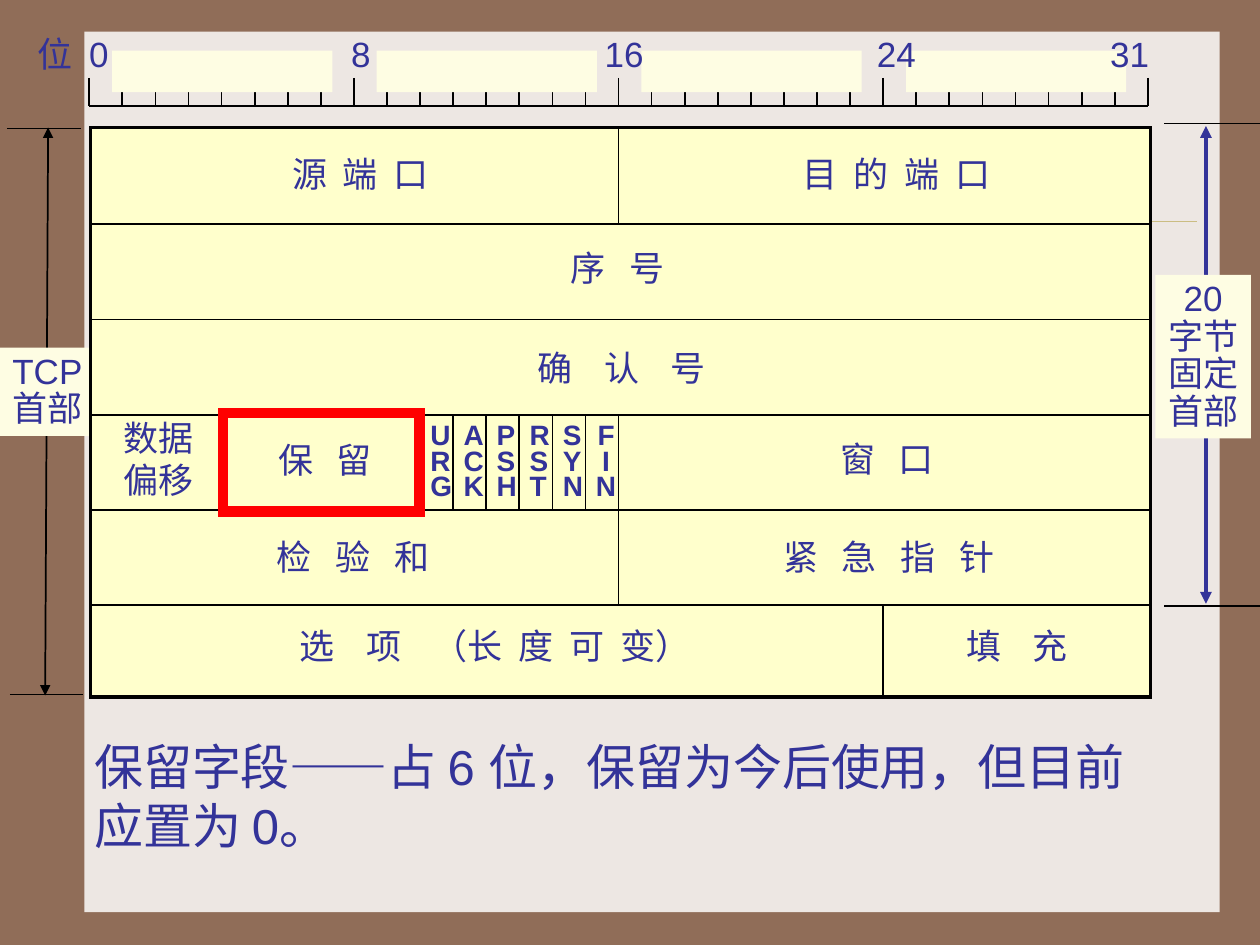
import pptx
import pptx.util
import pptx.dml.color
import pptx.enum.shapes
import pptx.enum.text
import pptx.oxml.ns
from lxml import etree

Cm, Pt = pptx.util.Cm, pptx.util.Pt
LEFT, CENTER = pptx.enum.text.PP_ALIGN.LEFT, pptx.enum.text.PP_ALIGN.CENTER

BROWN, PANEL, HAIRLINE = "906D58", "EDE7E3", "CBBD83"
CREAM, YELLOW, BLUE, BLACK, RED = "FEFDE3", "FFFFCC", "333399", "000000", "FF0000"

# Character gaps in points
NARROW, MEDIUM, WIDE = 9, 13.5, 18

# (text, gap), left, top, width
FIELDS = [
    ([("源端", NARROW), ("口", 0)], 5.64, 2.95, 3.7),
    ([("目的端", NARROW), ("口", 0)], 15.93, 2.95, 4.7),
    ([("序", MEDIUM), ("号", 0)], 11.25, 4.85, 3.84),
    ([("确认", WIDE), ("号", 0)], 10.59, 6.86, 5.11),
    ([("保", MEDIUM), ("留", 0)], 5.36, 8.71, 2.8),
    ([("窗", MEDIUM), ("口", 0)], 16.69, 8.69, 2.8),
    ([("检验", MEDIUM), ("和", 0)], 5.33, 10.67, 4),
    ([("紧急指", MEDIUM), ("针", 0)], 15.54, 10.67, 5.2),
    ([("选项", WIDE), ("（", 0), ("长度可", NARROW), ("变）", 0)], 5.79, 12.47, 8.89),
    ([("填", WIDE), ("充", 0)], 19.23, 12.47, 3.48),
]
FLAGS = [("URG", LEFT), ("ACK", LEFT), ("PSH", LEFT),
         ("RST", LEFT), ("SYN", LEFT), ("FIN", CENTER)]
RULER_TEXT = "位\t0\t8\t16\t24\t31"
RULER_TABS = [1.04, 6.32, 11.43, 16.92, 21.62]
NOTE = "保留字段——占 6 位，保留为今后使用，但目前应置为 0。"

# Header geometry in cm
HEADER_LEFT, HEADER_TOP, HEADER_WIDTH, HEADER_HEIGHT = 1.83, 2.57, 21.36, 11.48
ROW_HEIGHT, ROWS = 1.92, 6
BITS, RULER_LEFT, RULER_WIDTH, RULER_BASE = 32, 1.8, 21.34, 2.13
BIT_WIDTH = RULER_WIDTH / BITS
FLAG_BIT = 10
# bit, first row, last row
DIVIDERS = [(16, 0, 0), (4, 3, 3), (16, 3, 4), (24, 5, 5)]
DIVIDERS += [(FLAG_BIT + index, 3, 3) for index in range(len(FLAGS))]

presentation = pptx.Presentation()
presentation.slide_width, presentation.slide_height = Cm(25.4), Cm(19.05)
slide = presentation.slides.add_slide(presentation.slide_layouts[6])


def color(value):
    return pptx.dml.color.RGBColor.from_string(value)


def bit_x(bit):
    return RULER_LEFT + bit * BIT_WIDTH


def row_y(row):
    """Top edge of a header row; the last edge is the bottom of the header."""
    if row == 0:
        return HEADER_TOP
    if row == ROWS:
        return HEADER_TOP + HEADER_HEIGHT
    return 4.52 + (row - 1) * ROW_HEIGHT


def add_line(x1, y1, x2, y2, line_color=BLACK, width=1, arrows=False):
    connector = slide.shapes.add_connector(
        pptx.enum.shapes.MSO_CONNECTOR.STRAIGHT, Cm(x1), Cm(y1), Cm(x2), Cm(y2))
    connector.line.color.rgb = color(line_color)
    connector.line.width = Pt(width)
    if arrows:
        line = connector.line._get_or_add_ln()
        for end in ("a:headEnd", "a:tailEnd"):
            etree.SubElement(line, pptx.oxml.ns.qn(end), type="triangle")
    etree.SubElement(connector._element.spPr, pptx.oxml.ns.qn("a:effectLst"))


def add_rectangle(left, top, width, height, fill=None, line=None, line_width=1):
    shape = slide.shapes.add_shape(
        pptx.enum.shapes.MSO_SHAPE.RECTANGLE, Cm(left), Cm(top), Cm(width), Cm(height))
    shape.shadow.inherit = False
    if fill:
        shape.fill.solid()
        shape.fill.fore_color.rgb = color(fill)
    else:
        shape.fill.background()
    if line:
        shape.line.color.rgb = color(line)
        shape.line.width = Pt(line_width)
        etree.SubElement(shape.line._get_or_add_ln(),
                         pptx.oxml.ns.qn("a:miter"), lim="800000")
    else:
        shape.line.fill.background()
    return shape


def write(shape, paragraphs, size=20, bold=False, align=LEFT, spacing=None, wrap=False):
    """Fill a shape; each paragraph is a list of (text, character gap)."""
    frame = shape.text_frame
    frame.word_wrap = wrap
    frame.auto_size = pptx.enum.text.MSO_AUTO_SIZE.SHAPE_TO_FIT_TEXT
    frame.vertical_anchor = pptx.enum.text.MSO_ANCHOR.TOP
    for index, segments in enumerate(paragraphs):
        paragraph = frame.add_paragraph() if index else frame.paragraphs[0]
        paragraph.alignment = align
        paragraph.line_spacing = spacing
        for text, gap in segments:
            run = paragraph.add_run()
            run.text = text
            run.font.name = "Arial"
            run.font.size = Pt(size)
            run.font.bold = bold
            run.font.color.rgb = color(BLUE)
            if gap:
                run._r.get_or_add_rPr().set("spc", str(int(gap * 100)))


def add_text(paragraphs, left, top, width, height, **style):
    box = slide.shapes.add_textbox(Cm(left), Cm(top), Cm(width), Cm(height))
    write(box, paragraphs, **style)
    return box


def plain(lines):
    return [[(line, 0)] for line in lines]


# Backdrop
slide.background.fill.solid()
slide.background.fill.fore_color.rgb = color(BROWN)
add_rectangle(1.7, 0.64, 22.89, 17.75, PANEL)
add_line(2.82, 4.45, 24.13, 4.45, HAIRLINE, 0.25)

# Extent arrows with their labels
add_line(0.97, 2.57, 0.91, 14.02, arrows=True)
write(add_rectangle(0, 7.01, 1.93, 1.78, CREAM), plain(["TCP", "首部"]), spacing=0.9)
add_line(24.31, 2.54, 24.31, 12.17, BLUE, 2.25, arrows=True)
write(add_rectangle(23.29, 5.54, 1.93, 3.3, CREAM),
      plain(["20", "字节", "固定", "首部"]), align=CENTER, spacing=0.9)
for x1, x2, y in [(23.47, 25.4, 2.49), (23.47, 25.4, 12.22),
                  (0.15, 1.63, 2.59), (0.2, 1.68, 14)]:
    add_line(x1, y, x2, y)

# Header grid
add_rectangle(HEADER_LEFT, HEADER_TOP, HEADER_WIDTH, HEADER_HEIGHT, YELLOW, BLACK, 2)
for row in range(1, ROWS):
    add_line(HEADER_LEFT, row_y(row), HEADER_LEFT + HEADER_WIDTH, row_y(row))
for bit, first, last in DIVIDERS:
    add_line(bit_x(bit), row_y(first), bit_x(bit), row_y(last + 1))

# Field names
for segments, left, top, width in FIELDS:
    add_text([segments], left, top, width, 1.1, wrap=True)
add_text(plain(["数据", "偏移"]), 2.24, 8.28, 1.93, 1.93)
for index, (flag, align) in enumerate(FLAGS):
    add_text(plain(flag), bit_x(FLAG_BIT + index) - 0.04, 8.46, 0.91, 1.78,
             size=16, bold=True, align=align, spacing=0.75)

# Bit ruler
add_line(RULER_LEFT, RULER_BASE, RULER_LEFT + RULER_WIDTH, RULER_BASE)
for bit in range(BITS + 1):
    add_line(bit_x(bit), 1.3 if bit % 8 else 1.57, bit_x(bit), RULER_BASE)
for bit in range(0, BITS, 8):
    add_rectangle(bit_x(bit) + 0.46, 1.02, 4.44, 0.84, CREAM)
ruler = add_text(plain([RULER_TEXT]), 0.51, 0.53, 22.96, 1.1, wrap=True)
properties = ruler.text_frame.paragraphs[0]._p.get_or_add_pPr()
tabs = etree.SubElement(properties, pptx.oxml.ns.qn("a:tabLst"))
for position in RULER_TABS:
    etree.SubElement(tabs, pptx.oxml.ns.qn("a:tab"), pos=str(int(Cm(position))), algn="l")

# Explanation and highlight
add_text(plain([NOTE]), 1.65, 14.73, 22.05, 2.64, size=28, wrap=True)
add_rectangle(4.5, 8.33, 3.96, 1.98, line=RED, line_width=6)

presentation.save("out.pptx")
